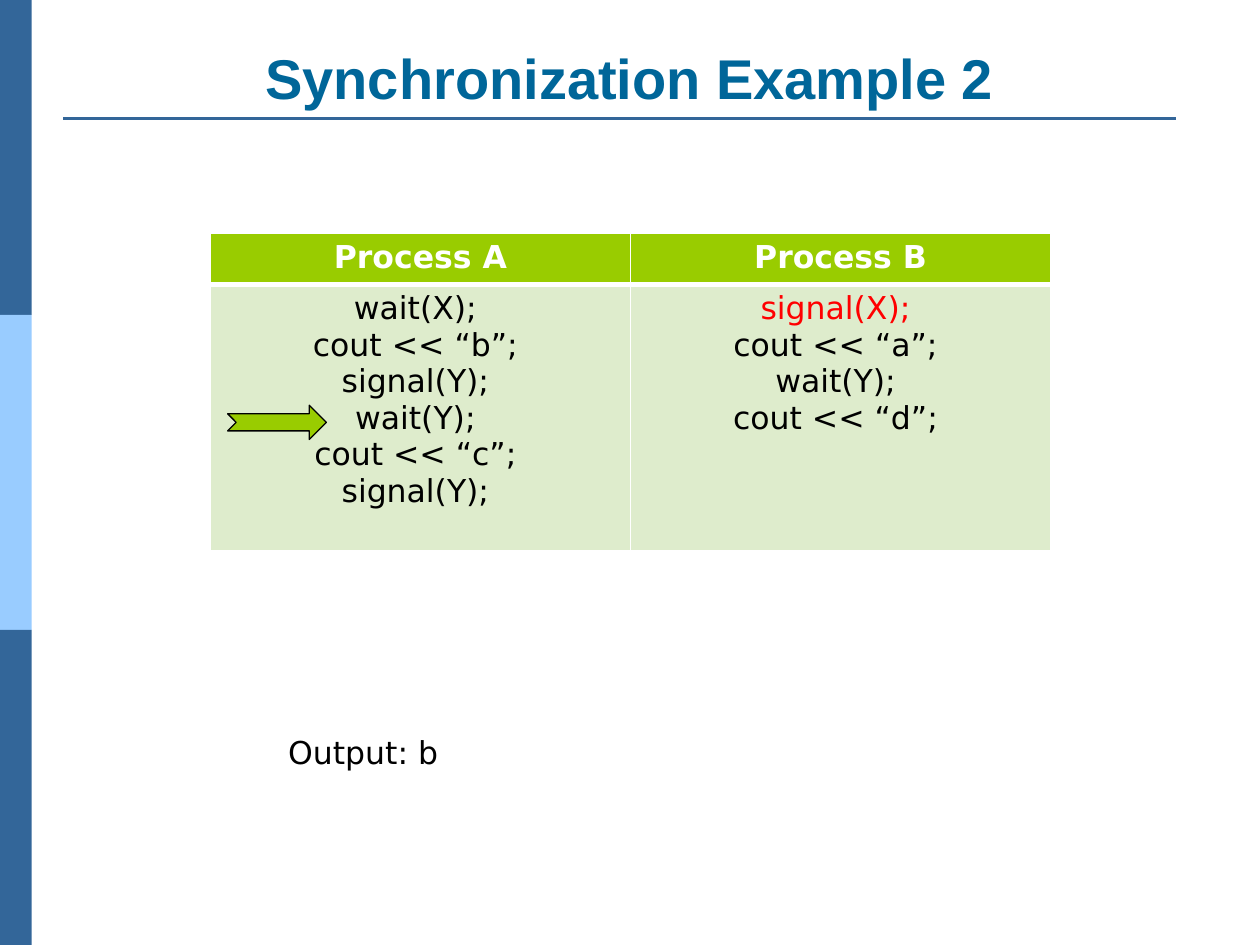
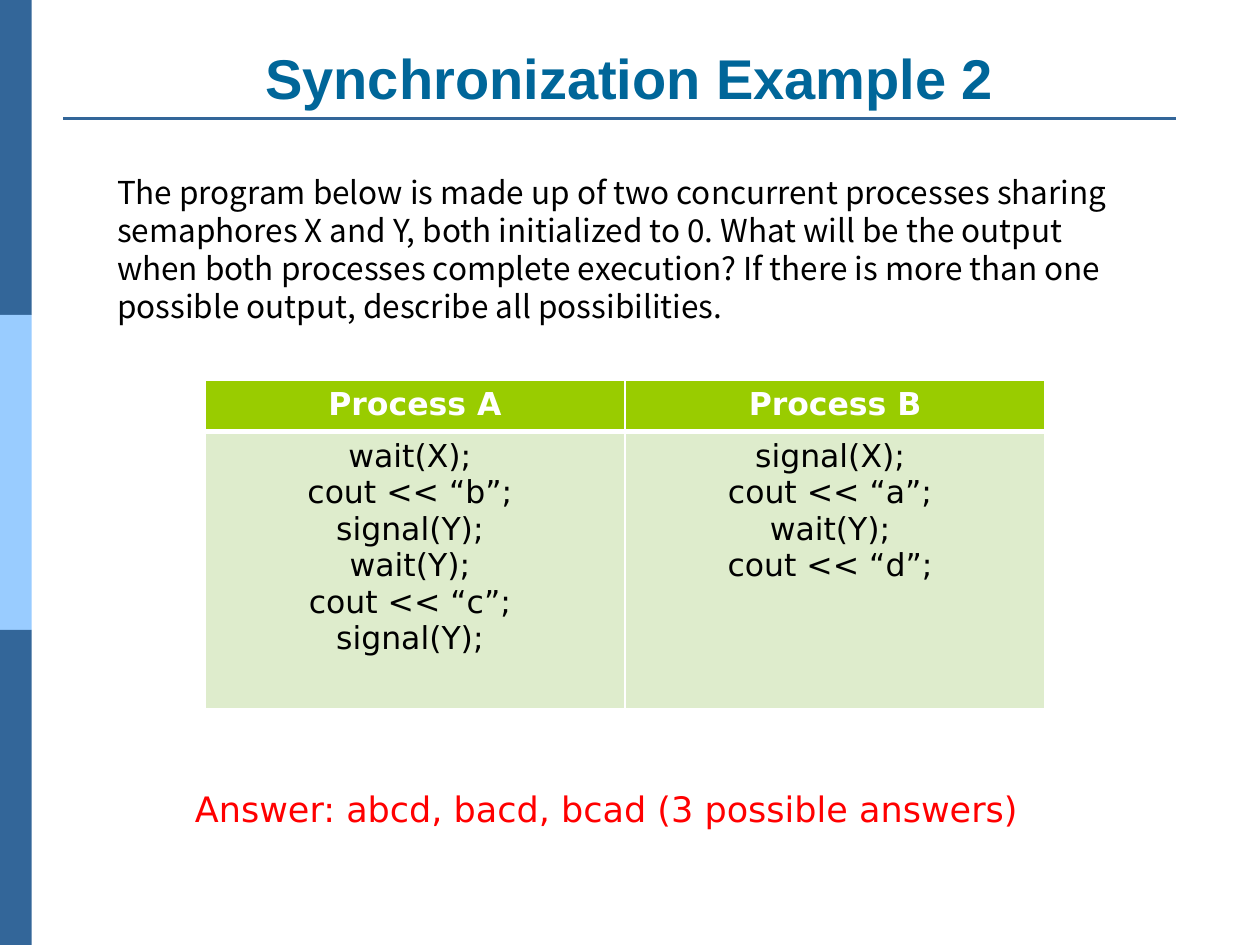
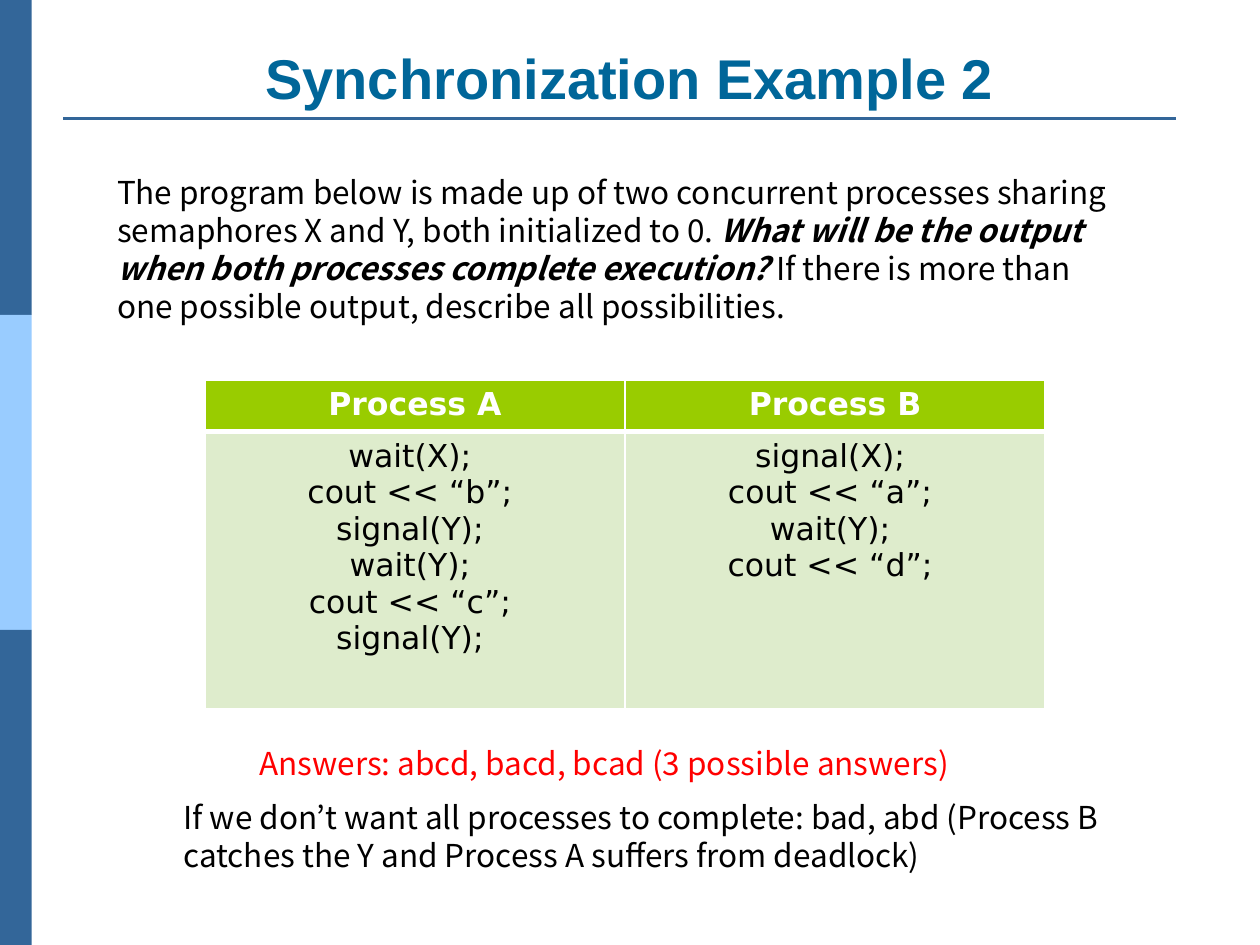
from dataclasses import dataclass

from lxml.etree import SubElement
from pptx import Presentation
from pptx.dml.color import RGBColor
from pptx.enum.shapes import MSO_CONNECTOR, MSO_SHAPE
from pptx.enum.text import MSO_ANCHOR, MSO_AUTO_SIZE, PP_ALIGN
from pptx.oxml import parse_xml
from pptx.oxml.ns import nsdecls, qn
from pptx.slide import Slide
from pptx.table import _Cell as Cell
from pptx.text.text import _Paragraph as Paragraph
from pptx.util import Cm, Length, Pt

BLUE = RGBColor(0x33, 0x66, 0x99)
SKY = RGBColor(0x99, 0xCC, 0xFF)
TITLE_BLUE = RGBColor(0x00, 0x66, 0x99)
GREEN = RGBColor(0x99, 0xCC, 0x00)
PALE_GREEN = RGBColor(0xDE, 0xEC, 0xCC)
WHITE = RGBColor(0xFF, 0xFF, 0xFF)
BLACK = RGBColor(0x00, 0x00, 0x00)
RED = RGBColor(0xFF, 0x00, 0x00)

TITLE_FONT = "Arial"
CODE_FONT = "DejaVu Sans"
PROSE_FONT = "Noto Sans CJK JP"
PROSE_SPACING = Pt(21.7)

SLIDE_WIDTH, SLIDE_HEIGHT = Cm(25.4), Cm(19.05)
BAND_WIDTH, BAND_HEIGHT = Cm(0.64), Cm(6.35)
COLUMN_WIDTH, HEADER_HEIGHT = Cm(8.47), Cm(1.03)

TITLE = "Synchronization Example 2"
PROCESSES = {
    "Process A": ("wait(X); ", "cout << “b”; ", "signal(Y); ",
                  "wait(Y); ", "cout << “c”; ", "signal(Y); "),
    "Process B": ("signal(X); ", "cout << “a”; ", "wait(Y); ", "cout << “d”; "),
}
INTRO = ("The program below is made up of two concurrent processes sharing "
         "semaphores X and Y, both initialized to 0. ")
QUESTION = "What will be the output when both processes complete execution? "
FOLLOW_UP = "If there is more than one possible output, describe all possibilities."


@dataclass(frozen=True)
class Run:
    text: str
    emphasis: bool = False


@dataclass(frozen=True)
class TextBox:
    runs: tuple[Run, ...]
    left: Length
    top: Length
    width: Length
    height: Length
    font: str = PROSE_FONT
    size: int = 18
    color: RGBColor = BLACK
    bold: bool = False
    wrap: bool = True
    align: PP_ALIGN = PP_ALIGN.LEFT
    anchor: MSO_ANCHOR = MSO_ANCHOR.TOP


@dataclass(frozen=True)
class ProcessTable:
    left: Length
    top: Length
    body_height: Length
    highlighted: str = ""


@dataclass(frozen=True)
class SlideContent:
    table: ProcessTable
    texts: tuple[TextBox, ...]
    arrow: bool = False


def style(p: Paragraph, font: str, size: int, color: RGBColor, bold: bool, align: PP_ALIGN) -> None:
    p.font.name = font
    p.font.size = Pt(size)
    p.font.color.rgb = color
    p.font.bold = bold
    p.alignment = align


def add_text(s: Slide, box: TextBox) -> None:
    tf = s.shapes.add_textbox(box.left, box.top, box.width, box.height).text_frame
    tf.word_wrap = box.wrap
    tf.auto_size = MSO_AUTO_SIZE.NONE
    tf.vertical_anchor = box.anchor
    p = tf.paragraphs[0]
    style(p, box.font, box.size, box.color, box.bold, box.align)
    if box.font == PROSE_FONT:
        p.line_spacing = PROSE_SPACING
    for run in box.runs:
        r = p.add_run()
        r.text = run.text
        if run.emphasis:
            r.font.bold = r.font.italic = True


def add_frame(s: Slide) -> None:
    for i, color in enumerate((BLUE, SKY, BLUE)):
        sp = s.shapes.add_shape(MSO_SHAPE.RECTANGLE, 0, i * BAND_HEIGHT, BAND_WIDTH, BAND_HEIGHT)
        sp.shadow.inherit = False
        sp.fill.solid()
        sp.fill.fore_color.rgb = color
        sp.line.fill.background()
    rule = s.shapes.add_connector(MSO_CONNECTOR.STRAIGHT, Cm(1.27), Cm(2.39), Cm(23.7), Cm(2.39))
    rule.line.color.rgb = BLUE
    rule.line.width = Pt(1.5)
    SubElement(rule._element.spPr, qn("a:effectLst"))
    add_text(s, TextBox((Run(TITLE),), Cm(1.27), Cm(0.76), Cm(22.86), Cm(1.6), TITLE_FONT, 32,
                        TITLE_BLUE, True, align=PP_ALIGN.CENTER, anchor=MSO_ANCHOR.BOTTOM))


def set_cell(cell: Cell, fill: RGBColor, top: int, bottom: int) -> None:
    cell.fill.solid()
    cell.fill.fore_color.rgb = fill
    tcPr = cell._tc.get_or_add_tcPr()
    for i, (side, width) in enumerate((("L", 1), ("R", 1), ("T", top), ("B", bottom))):
        tcPr.insert(i, parse_xml(
            f'<a:ln{side} {nsdecls("a")} w="{Pt(width)}"><a:solidFill>'
            f'<a:srgbClr val="{WHITE}"/></a:solidFill></a:ln{side}>'))


def add_process_table(s: Slide, spec_table: ProcessTable) -> None:
    columns = len(PROCESSES)
    table = s.shapes.add_table(2, columns, spec_table.left, spec_table.top, columns * COLUMN_WIDTH,
                               HEADER_HEIGHT + spec_table.body_height).table
    table.rows[0].height = HEADER_HEIGHT
    table.rows[1].height = spec_table.body_height
    for i, (name, statements) in enumerate(PROCESSES.items()):
        table.columns[i].width = COLUMN_WIDTH
        header, body = table.cell(0, i), table.cell(1, i)
        set_cell(header, GREEN, 1, 3)
        set_cell(body, PALE_GREEN, 3, 1)
        header.text = name
        style(header.text_frame.paragraphs[0], CODE_FONT, 18, WHITE, True, PP_ALIGN.CENTER)
        body.text = "\n".join(statements)
        for p in body.text_frame.paragraphs:
            color = RED if p.text.strip() == spec_table.highlighted else BLACK
            style(p, CODE_FONT, 18, color, False, PP_ALIGN.CENTER)


def add_step_arrow(s: Slide) -> None:
    sp = s.shapes.add_shape(MSO_SHAPE.NOTCHED_RIGHT_ARROW, Cm(4.59), Cm(8.17), Cm(1.99), Cm(0.69))
    sp.shadow.inherit = False
    sp.fill.solid()
    sp.fill.fore_color.rgb = GREEN
    sp.line.color.rgb = BLACK
    sp.line.width = Pt(0.75)


def problem(emphasis: bool) -> TextBox:
    runs = (Run(INTRO), Run(QUESTION, emphasis), Run(FOLLOW_UP))
    return TextBox(runs, Cm(2.11), Cm(3.35), Cm(20.93), Cm(3.33))


PROBLEM_TABLE = ProcessTable(Cm(4.13), Cm(7.67), Cm(5.58))
SLIDES = (
    SlideContent(
        ProcessTable(Cm(4.24), Cm(4.7), Cm(5.37), "signal(X);"),
        (TextBox((Run("Output: b"),), Cm(5.56), Cm(14.66), Cm(3.66), Cm(1.02),
                 CODE_FONT, wrap=False),),
        arrow=True),
    SlideContent(
        PROBLEM_TABLE,
        (problem(False),
         TextBox((Run("Answer: abcd, bacd, bcad (3 possible answers)"),),
                 Cm(3.68), Cm(15.75), Cm(18.06), Cm(1.12), CODE_FONT, 20, RED, wrap=False))),
    SlideContent(
        PROBLEM_TABLE,
        (problem(True),
         TextBox((Run("Answers: abcd, bacd, bcad (3 possible answers)"),),
                 Cm(4.98), Cm(14.88), Cm(14.45), Cm(1.02), color=RED, wrap=False),
         TextBox((Run("If we don’t want all processes to complete: bad, abd (Process B "
                      "catches the Y and Process A suffers from deadlock)"),),
                 Cm(3.45), Cm(15.95), Cm(19.33), Cm(1.8)))),
)


def main() -> None:
    prs = Presentation()
    prs.slide_width, prs.slide_height = SLIDE_WIDTH, SLIDE_HEIGHT
    for content in SLIDES:
        s = prs.slides.add_slide(prs.slide_layouts[6])
        add_frame(s)
        add_process_table(s, content.table)
        for box in content.texts:
            add_text(s, box)
        if content.arrow:
            add_step_arrow(s)
    prs.save("out.pptx")


if __name__ == "__main__":
    main()
